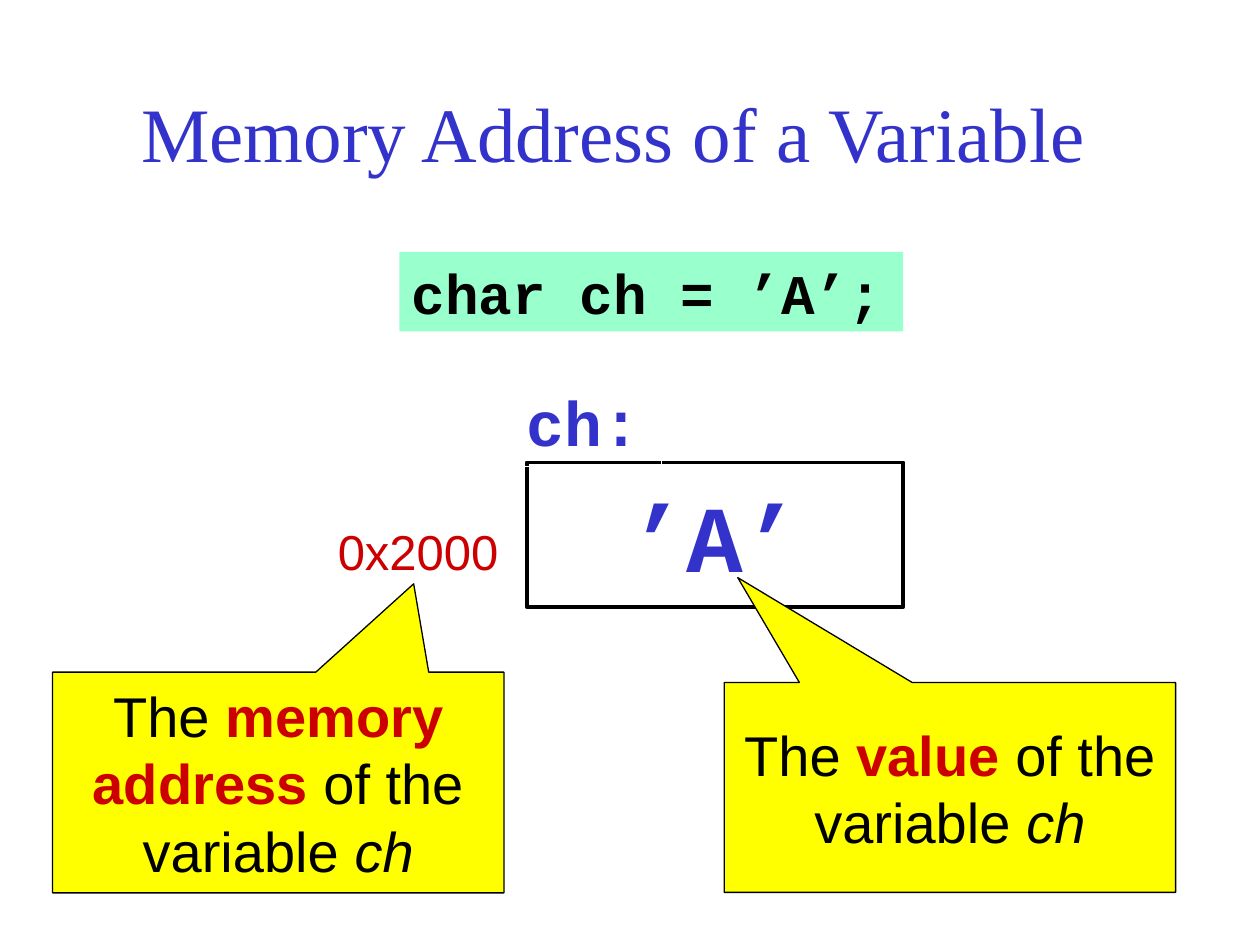
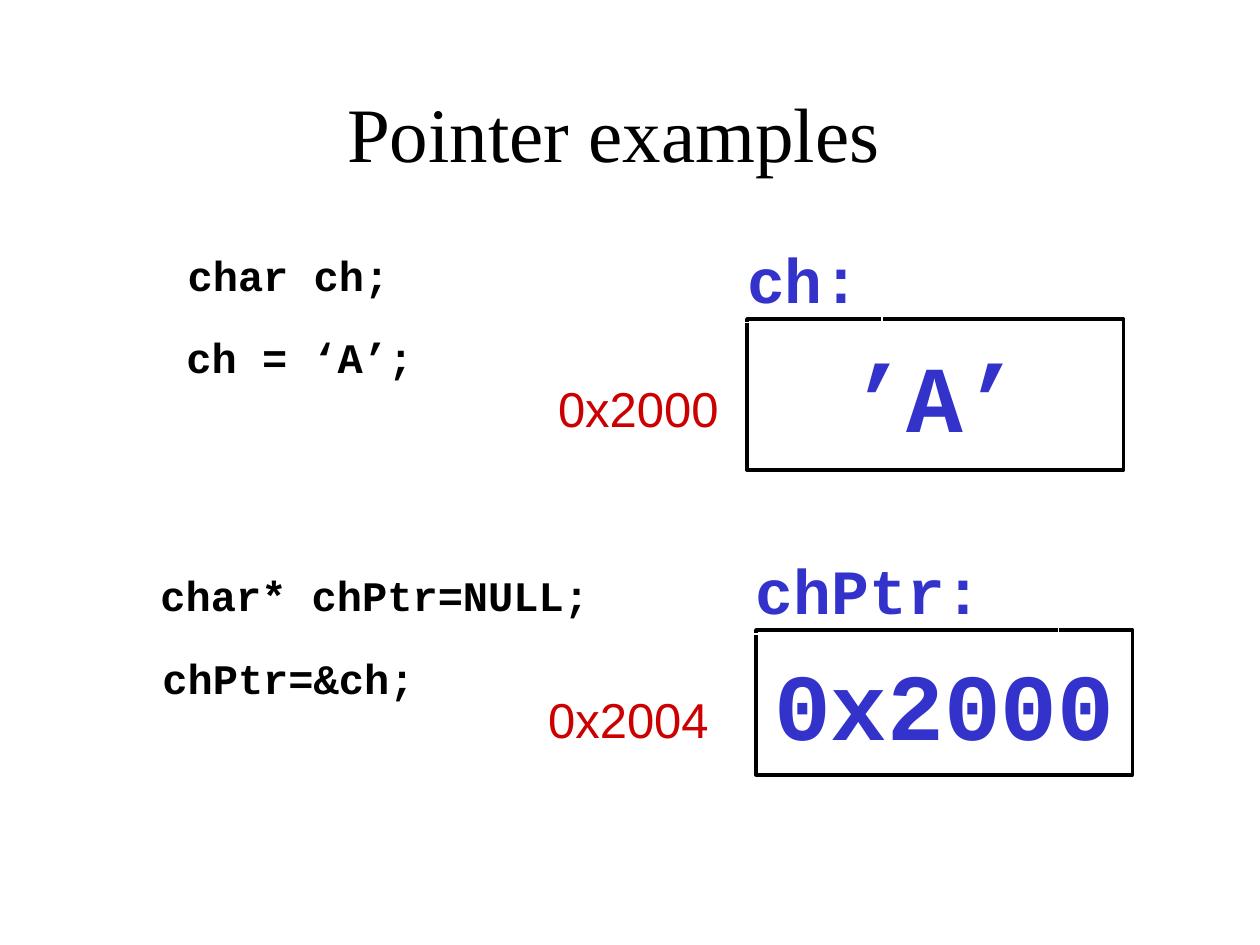
"""Build two slides on variable addresses and pointers in C."""
import dataclasses

import pptx
import pptx.dml.color
import pptx.enum.shapes
import pptx.enum.text
import pptx.util

Cm = pptx.util.Cm
RGB = pptx.dml.color.RGBColor.from_string
SHAPE = pptx.enum.shapes.MSO_SHAPE
ALIGN = pptx.enum.text.PP_ALIGN
ANCHOR = pptx.enum.text.MSO_ANCHOR


@dataclasses.dataclass(frozen=True)
class Theme:
    """Colours, fonts and type sizes of the deck."""
    ink: str = "000000"
    paper: str = "FFFFFF"
    blue: str = "3333CC"
    red: str = "CC0000"
    mint: str = "99FFCC"
    yellow: str = "FFFF00"
    serif: str = "Times New Roman"
    sans: str = "Arial"
    mono: str = "Courier New"
    title: int = 44
    value: int = 54
    name: int = 36
    body: int = 32
    address: int = 28
    code: int = 24


class Deck:
    """Holds the theme, the presentation and the current slide."""

    def __init__(self, theme):
        """Start an empty presentation of 10 by 7.5 inches."""
        self.t = theme
        self.prs = pptx.Presentation()
        self.prs.slide_width, self.prs.slide_height = Cm(25.4), Cm(19.05)

    def fmt(self, size, name, color, **extra):
        """Return a dict of font values."""
        return {"size": pptx.util.Pt(size), "name": name, "color": color, **extra}

    def put_text(self, sp, runs, align=ALIGN.LEFT, anchor=ANCHOR.TOP, wrap=True):
        """Fill the text frame with (text, format) runs."""
        tf = sp.text_frame
        frame = {"word_wrap": wrap, "vertical_anchor": anchor,
                 "auto_size": pptx.enum.text.MSO_AUTO_SIZE.NONE,
                 "margin_left": Cm(0.25), "margin_right": Cm(0.25),
                 "margin_top": Cm(0.13), "margin_bottom": Cm(0.13)}
        for key, val in frame.items():
            setattr(tf, key, val)
        p = tf.paragraphs[0]
        p.alignment = align
        for text, values in runs:
            r = p.add_run()
            r.text = text
            for key, val in values.items():
                if key == "color":
                    r.font.color.rgb = RGB(val)
                else:
                    setattr(r.font, key, val)

    def slide(self, title, color):
        """Add a slide and format its title."""
        self.s = self.prs.slides.add_slide(self.prs.slide_layouts[5])
        sp = self.s.shapes.title
        place = {"left": 0.84, "top": 1.07, "width": 23.06, "height": 3.18}
        for key, val in place.items():
            setattr(sp, key, Cm(val))
        self.put_text(sp, [(title, self.fmt(self.t.title, self.t.serif, color))],
                      ALIGN.CENTER, ANCHOR.MIDDLE)

    def shape(self, kind, box, fill=None, line=None, width=0.75):
        """Add a preset shape without shadow."""
        sp = self.s.shapes.add_shape(kind, *map(Cm, box))
        sp.shadow.inherit = False
        for part, color in ((sp.fill, fill), (sp.line.fill, line)):
            if color:
                part.solid()
                part.fore_color.rgb = RGB(color)
            else:
                part.background()
        if line:
            sp.line.width = pptx.util.Pt(width)
        return sp

    def banner(self, text, box):
        """Add a declaration on a coloured band."""
        sp = self.shape(SHAPE.RECTANGLE, box, self.t.mint)
        self.put_text(sp, [(text, self.fmt(self.t.body, self.t.mono, self.t.ink, bold=True))])

    def code(self, text, x, y, w=8.69):
        """Add a centred line of code."""
        sp = self.s.shapes.add_textbox(*map(Cm, (x, y, w, 1.27)))
        self.put_text(sp, [(text, self.fmt(self.t.code, self.t.mono, self.t.ink, bold=True))],
                      ALIGN.CENTER, ANCHOR.MIDDLE)

    def variable(self, name, address, value, x, y, h=2.92, name_w=2.97, gap=4.06):
        """Add a memory cell with its address and name."""
        t = self.t
        cell = self.shape(SHAPE.RECTANGLE, (x, y, 7.59, h), line=t.ink, width=2)
        self.put_text(cell, [(value, self.fmt(t.value, t.mono, t.blue, bold=True))],
                      ALIGN.CENTER, ANCHOR.MIDDLE, wrap=False)
        labels = (
            (address, (x - gap, y + 1.07, 3.81, 1.48), self.fmt(t.address, t.sans, t.red)),
            (name, (x - 0.25, y - 1.72, name_w, 1.8),
             self.fmt(t.name, t.mono, t.blue, bold=True)),
        )
        for text, box, values in labels:
            sp = self.shape(SHAPE.RECTANGLE, box, line=t.paper)
            self.put_text(sp, [(text, values)])

    def callout(self, term, box, tip):
        """Add a callout that explains one term."""
        t = self.t
        sp = self.shape(SHAPE.RECTANGULAR_CALLOUT, box, t.yellow, t.ink)
        for i, val in enumerate(tip):
            sp.adjustments[i] = val
        plain = self.fmt(t.body, t.sans, t.ink)
        self.put_text(sp, [("The ", plain), (term, {**plain, "color": t.red, "bold": True}),
                           (" of the variable ", plain), ("ch", {**plain, "italic": True})],
                      ALIGN.CENTER, ANCHOR.MIDDLE)


def main():
    """Build both slides and save the file."""
    t = Theme()
    d = Deck(t)

    d.slide("Memory Address of a Variable", t.blue)
    d.banner("char ch = ’A’;", (8.05, 5.08, 10.16, 1.6))
    d.variable("ch:", "0x2000", "’A’", 10.62, 9.32)
    d.callout("value", (14.6, 13.76, 9.1, 4.23), (-0.47, -1.0))
    d.callout("memory address", (1.06, 13.55, 9.1, 4.45), (0.3, -0.9))

    d.slide("Pointer examples", t.ink)
    d.variable("ch:", "0x2000", "’A’", 15.06, 6.43, h=3.05)
    d.variable("chPtr:", "0x2004", "0x2000", 15.24, 12.7, name_w=6.35, gap=4.44)
    d.code("char ch;", 1.47, 4.9)
    d.code("ch = ‘A’;", 1.7, 6.55)
    d.code(" char* chPtr=NULL;", 1.9, 11.35, 10.8)
    d.code("chPtr=&ch;", 1.47, 13.03)

    d.prs.save("out.pptx")


if __name__ == "__main__":
    main()
